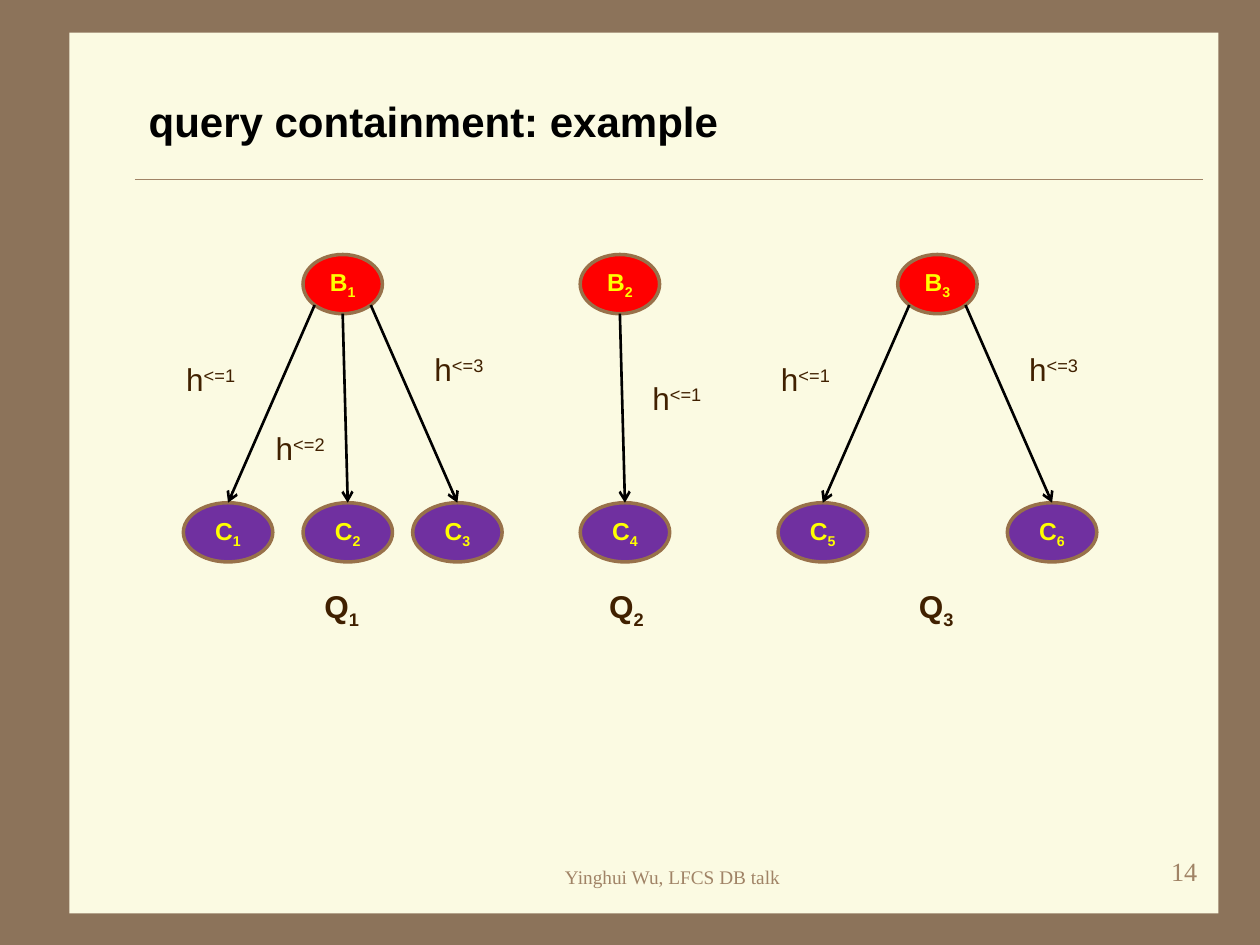
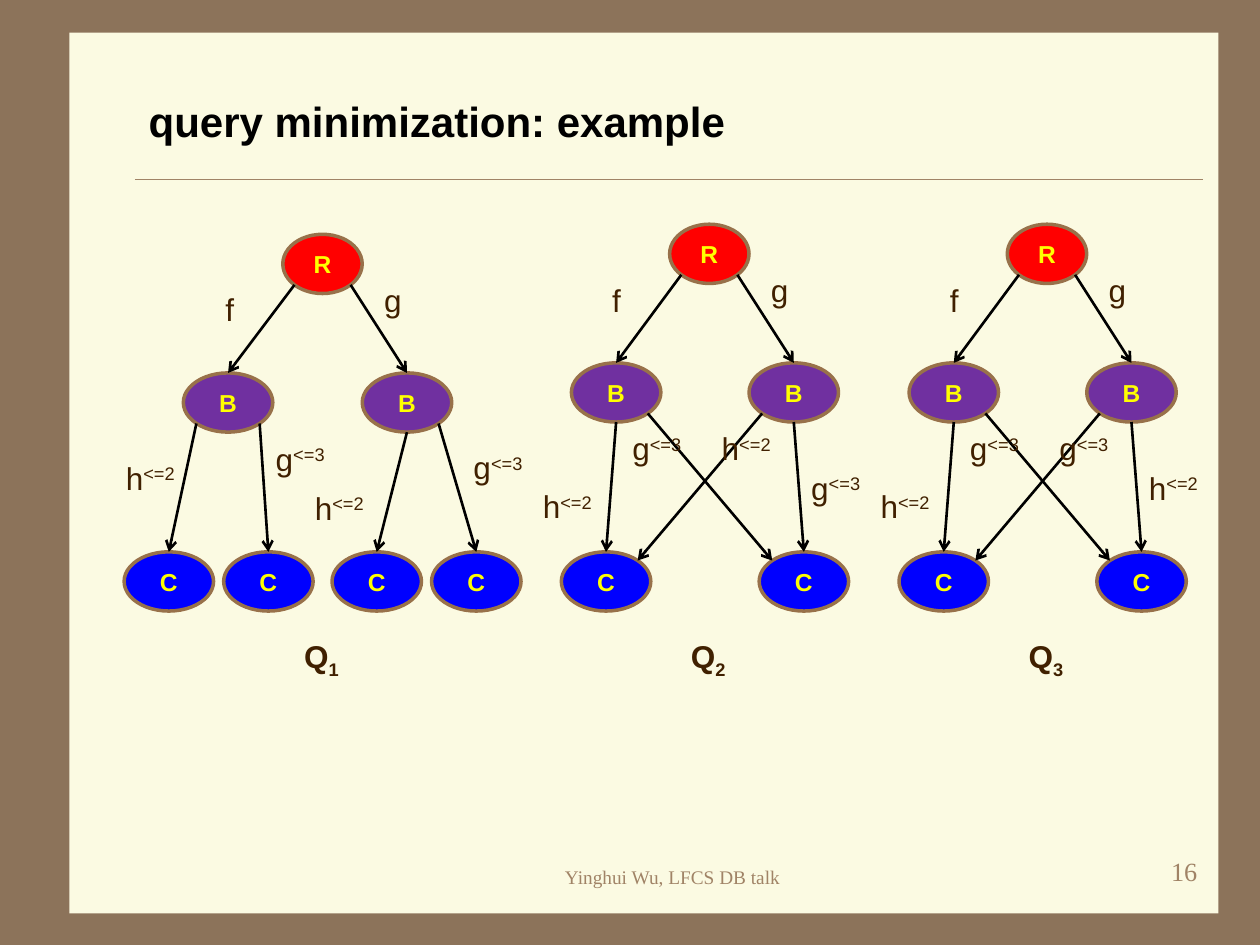
from math import sqrt
from lxml.etree import SubElement
from pptx import Presentation
from pptx.dml.color import RGBColor
from pptx.enum.shapes import MSO_CONNECTOR, MSO_SHAPE
from pptx.enum.text import MSO_ANCHOR, MSO_AUTO_SIZE, PP_ALIGN
from pptx.oxml.ns import qn
from pptx.util import Inches, Pt

# Shared colours and fonts
BROWN = RGBColor(0x8C, 0x73, 0x5A)
CREAM = RGBColor(0xFB, 0xFA, 0xE2)
TAN = RGBColor(0xA0, 0x83, 0x66)
OUTLINE = RGBColor(0x98, 0x71, 0x4A)
DARK = RGBColor(0x40, 0x20, 0x00)
BLACK = RGBColor(0, 0, 0)
RED = RGBColor(0xFF, 0, 0)
PURPLE = RGBColor(0x70, 0x30, 0xA0)
BLUE = RGBColor(0, 0, 0xFF)
YELLOW = RGBColor(0xFF, 0xFF, 0)
SANS, SERIF = "Arial", "Times New Roman"

FOOTER = "Yinghui Wu, LFCS DB talk"
LEVEL_FILLS = [RED, PURPLE, BLUE]
ROOT_WIDTH, NODE_WIDTH, NODE_HEIGHT = 0.63, 0.71, 0.47
LABEL_HEIGHT = 0.4
CAPTION_WIDTH, POWER_WIDTH = 0.49, 0.63
LETTER_WIDTHS = {"f": 0.27, "g": 0.34}

# Connection sites of an ellipse: index, then direction from the centre
DIAGONAL = 1 / sqrt(2)
SITES = {
    "top": (0, 0, -1),
    "top left": (1, -DIAGONAL, -DIAGONAL),
    "lower left": (3, -DIAGONAL, DIAGONAL),
    "bottom": (4, 0, 1),
    "lower right": (5, DIAGONAL, DIAGONAL),
    "top right": (7, DIAGONAL, -DIAGONAL),
}

# Graphs. x is the centre of the root, rows are the tops of the levels.
# nodes:  letter, subscript, level, offset from x
# edges:  from node, to node, site it leaves, site it reaches
# labels: letter, exponent, offset of the left edge from x, top
CONTAINMENT_ROWS = [2.02, 3.99]
CONTAINMENT = [
    dict(name="1", x=2.72, rows=CONTAINMENT_ROWS, caption=(0, 4.61),
         nodes=[("B", "1", 0, 0), ("C", "1", 1, -0.91),
                ("C", "2", 1, 0.04), ("C", "3", 1, 0.91)],
         edges=[(0, 1, "lower left", "top"), (0, 2, "bottom", "top"),
                (0, 3, "lower right", "top")],
         labels=[("h", "<=1", -1.34, 2.81), ("h", "<=2", -0.63, 3.36),
                 ("h", "<=3", 0.63, 2.73)]),
    dict(name="2", x=4.92, rows=CONTAINMENT_ROWS, caption=(0.06, 4.61),
         nodes=[("B", "2", 0, 0), ("C", "4", 1, 0.04)],
         edges=[(0, 1, "bottom", "top")],
         labels=[("h", "<=1", 0.16, 2.96)]),
    dict(name="3", x=7.44, rows=CONTAINMENT_ROWS, caption=(0, 4.61),
         nodes=[("B", "3", 0, 0), ("C", "5", 1, -0.91), ("C", "6", 1, 0.91)],
         edges=[(0, 1, "lower left", "top"), (0, 2, "lower right", "top")],
         labels=[("h", "<=1", -1.34, 2.81), ("h", "<=3", 0.63, 2.73)]),
]


def crossed_graph(name, x, inner_power, outer_power):
    """Two B nodes that share two C nodes; the powers label the second B."""
    return dict(
        name=name, x=x, rows=[1.78, 2.88, 4.38], caption=(0, 5.01),
        nodes=[("R", "", 0, 0), ("B", "", 1, -0.74), ("B", "", 1, 0.67),
               ("C", "", 2, -0.82), ("C", "", 2, 0.75)],
        edges=[(0, 1, "lower left", "top"), (0, 2, "lower right", "top"),
               (1, 3, "bottom", "top"), (1, 4, "lower right", "top left"),
               (2, 3, "lower left", "top right"), (2, 4, "bottom", "top")],
        labels=[("f", "", -0.87, 2.18), ("g", "", 0.39, 2.1),
                ("h", "<=2", -1.42, 3.82), ("g", "<=3", -0.71, 3.36),
                (*inner_power, 0, 3.36), (*outer_power, 0.71, 3.67)])


MINIMIZATION = [
    dict(name="1", x=2.56, rows=[1.86, 2.96, 4.38], caption=(0, 5.01),
         nodes=[("R", "", 0, 0), ("B", "", 1, -0.75), ("B", "", 1, 0.67),
                ("C", "", 2, -1.22), ("C", "", 2, -0.43),
                ("C", "", 2, 0.43), ("C", "", 2, 1.22)],
         edges=[(0, 1, "lower left", "top"), (0, 2, "lower right", "top"),
                (1, 3, "lower left", "top"), (1, 4, "lower right", "top"),
                (2, 5, "bottom", "top"), (2, 6, "lower right", "top")],
         labels=[("f", "", -0.87, 2.25), ("g", "", 0.39, 2.18),
                 ("h", "<=2", -1.66, 3.59), ("g", "<=3", -0.47, 3.44),
                 ("h", "<=2", -0.16, 3.83), ("g", "<=3", 1.1, 3.51)]),
    crossed_graph("2", 5.63, ("h", "<=2"), ("g", "<=3")),
    crossed_graph("3", 8.31, ("g", "<=3"), ("h", "<=2")),
]

PAGES = [
    ("query containment: example", "14", CONTAINMENT),
    ("query minimization: example", "16", MINIMIZATION),
]


def add_span(para, text, size, color, font=SANS, bold=False, baseline=0):
    span = para.add_run()
    span.text = text
    span.font.name, span.font.size, span.font.bold = font, Pt(size), bold
    span.font.color.rgb = color
    if baseline:
        span._r.get_or_add_rPr().set("baseline", str(baseline * 1000))


def add_line(page, start, end, color, width):
    line = page.shapes.add_connector(
        MSO_CONNECTOR.STRAIGHT, *(Inches(value) for value in (*start, *end)))
    line.line.color.rgb, line.line.width = color, Pt(width)
    SubElement(line._element.spPr, qn("a:effectLst"))
    return line


def add_footer(page, area, text, size):
    box = page.shapes.add_textbox(*(Inches(value) for value in area))
    box.text_frame.word_wrap = True
    para = box.text_frame.paragraphs[0]
    para.alignment, para.space_before = PP_ALIGN.RIGHT, Pt(2)
    add_span(para, text, size, TAN, SERIF)


def add_frame(page, title, number):
    """Background, panel, rule, title and footers."""
    page.background.fill.solid()
    page.background.fill.fore_color.rgb = BROWN
    panel = page.shapes.add_shape(
        MSO_SHAPE.RECTANGLE, Inches(0.55), Inches(0.26), Inches(9.12), Inches(6.99))
    panel.shadow.inherit = False
    panel.fill.solid()
    panel.fill.fore_color.rgb = CREAM
    panel.line.fill.background()
    add_line(page, (1.07, 1.42), (9.55, 1.42), TAN, 0.25)

    heading = page.shapes.title
    heading.left, heading.top = Inches(1.08), Inches(0.5)
    heading.width, heading.height = Inches(8.5), Inches(0.91)
    page.shapes._spTree.append(heading._element)  # in front of the panel
    heading.text_frame.vertical_anchor = MSO_ANCHOR.MIDDLE
    para = heading.text_frame.paragraphs[0]
    para.alignment = PP_ALIGN.LEFT
    add_span(para, title, 24, BLACK, bold=True)

    add_footer(page, (4.21, 6.82, 2.08, 0.31), FOOTER, 11)
    add_footer(page, (7.52, 6.74, 2.08, 0.5), number, 15)


def add_node(page, letter, subscript, level, center, top):
    width = NODE_WIDTH if level else ROOT_WIDTH
    node = page.shapes.add_shape(
        MSO_SHAPE.OVAL, Inches(center - width / 2), Inches(top),
        Inches(width), Inches(NODE_HEIGHT))
    node.shadow.inherit = False
    node.fill.solid()
    node.fill.fore_color.rgb = LEVEL_FILLS[level]
    node.line.color.rgb, node.line.width = OUTLINE, Pt(2)
    frame = node.text_frame
    frame.vertical_anchor = MSO_ANCHOR.MIDDLE
    para = frame.paragraphs[0]
    para.alignment = PP_ALIGN.CENTER
    add_span(para, letter, 14, YELLOW, bold=True)
    if subscript:
        add_span(para, subscript, 14, YELLOW, bold=True, baseline=-25)
    return node


def site_point(node, site):
    _, across, down = SITES[site]
    return (node.left.inches + node.width.inches * (1 + across) / 2,
            node.top.inches + node.height.inches * (1 + down) / 2)


def add_edge(page, source, target, leaves, reaches):
    """Arrow glued to a site of each node."""
    arrow = add_line(page, site_point(source, leaves),
                     site_point(target, reaches), BLACK, 1.5)
    SubElement(arrow.line._get_or_add_ln(), qn("a:tailEnd"), type="arrow")
    glue = arrow._element.find(".//" + qn("p:cNvCxnSpPr"))
    for tag, node, site in (("a:stCxn", source, leaves), ("a:endCxn", target, reaches)):
        SubElement(glue, qn(tag), id=str(node.shape_id), idx=str(SITES[site][0]))


def add_label(page, left, top, width, letter, script, baseline, bold=False):
    box = page.shapes.add_textbox(
        Inches(left), Inches(top), Inches(width), Inches(LABEL_HEIGHT))
    box.text_frame.word_wrap = False
    box.text_frame.auto_size = MSO_AUTO_SIZE.SHAPE_TO_FIT_TEXT
    para = box.text_frame.paragraphs[0]
    add_span(para, letter, 18, DARK, bold=bold)
    if script:
        add_span(para, script, 18, DARK, bold=bold, baseline=baseline)


def add_graph(page, graph):
    x = graph["x"]
    nodes = [add_node(page, letter, subscript, level, x + offset, graph["rows"][level])
             for letter, subscript, level, offset in graph["nodes"]]
    for source, target, leaves, reaches in graph["edges"]:
        add_edge(page, nodes[source], nodes[target], leaves, reaches)
    for letter, power, offset, top in graph["labels"]:
        width = POWER_WIDTH if power else LETTER_WIDTHS[letter]
        add_label(page, x + offset, top, width, letter, power, 30)
    offset, top = graph["caption"]
    add_label(page, x + offset - CAPTION_WIDTH / 2, top, CAPTION_WIDTH,
              "Q", graph["name"], -25, bold=True)


deck = Presentation()
deck.slide_width, deck.slide_height = Inches(10), Inches(7.5)
title_only = deck.slide_layouts[5]
for title, number, graphs in PAGES:
    page = deck.slides.add_slide(title_only)
    add_frame(page, title, number)
    for graph in graphs:
        add_graph(page, graph)
deck.save("out.pptx")
